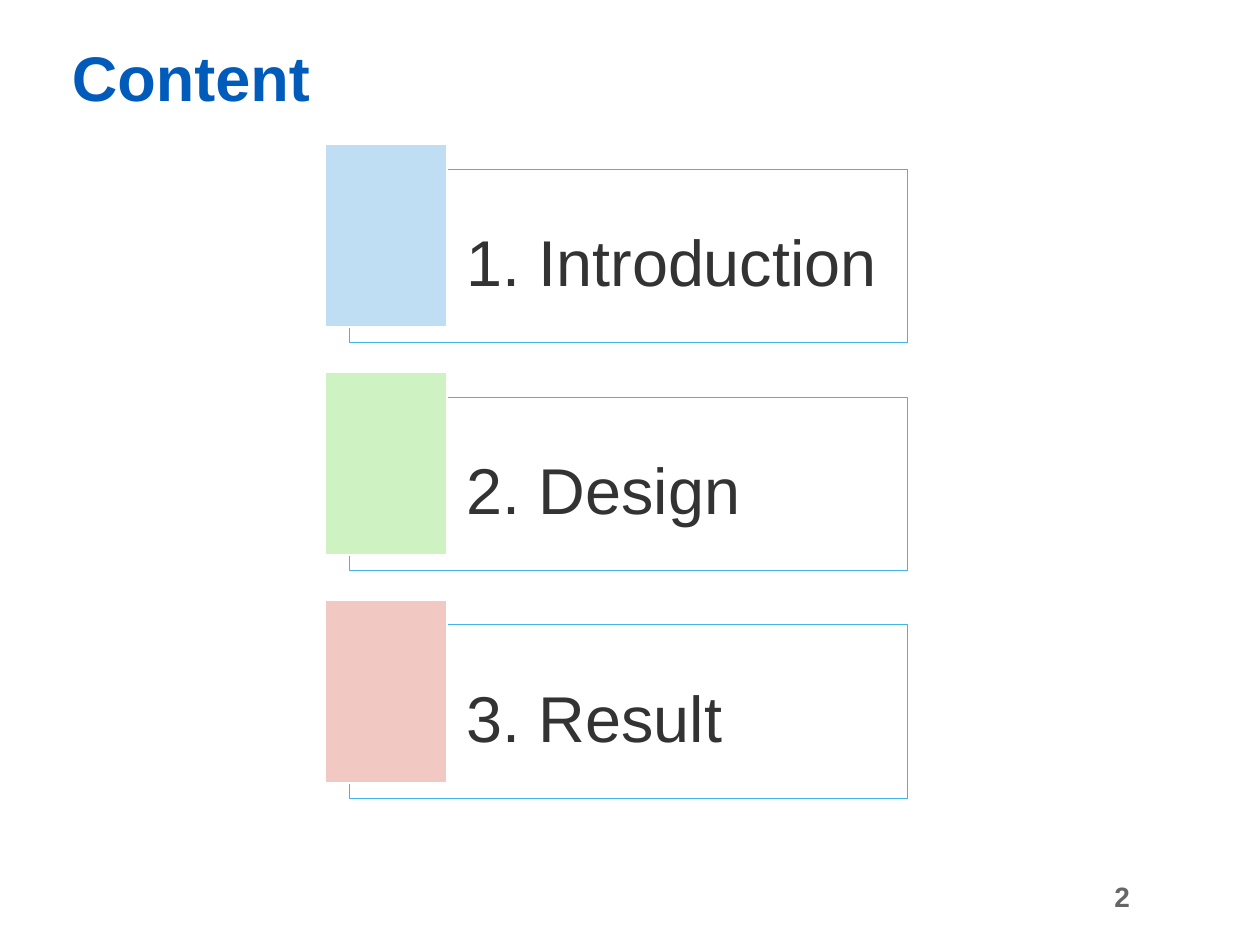
from dataclasses import dataclass

import pptx
import pptx.dml.color
import pptx.enum.shapes
import pptx.enum.text
import pptx.oxml
import pptx.util

EMU_PER_PX = 914400 / 126
FONT = "Arial"
ALIGN = pptx.enum.text.PP_ALIGN
ANCHOR = pptx.enum.text.MSO_ANCHOR

FIRST_TOP = 169
PITCH = 228


@dataclass
class Section:
    text: str
    tab_color: str


SECTIONS = [
    Section("1. Introduction", "C0DEF3"),
    Section("2. Design", "CEF2C2"),
    Section("3. Result", "F2C8C3"),
]


def px(length: int) -> pptx.util.Emu:
    return pptx.util.Emu(round(length * EMU_PER_PX))


def color(value: str) -> pptx.dml.color.RGBColor:
    return pptx.dml.color.RGBColor.from_string(value)


def write(shape, text: str, *, size: int, fill: str, bold: bool = False,
          align=ALIGN.LEFT, anchor=ANCHOR.MIDDLE, line_spacing: float = 1.0,
          insets: tuple[int, int, int, int] = (13, 6, 13, 6)) -> None:
    """Put one formatted paragraph in a shape; insets are left, top, right, bottom."""
    frame = shape.text_frame
    frame.word_wrap = True
    frame.auto_size = pptx.enum.text.MSO_AUTO_SIZE.NONE
    frame.vertical_anchor = anchor
    (frame.margin_left, frame.margin_top,
     frame.margin_right, frame.margin_bottom) = map(px, insets)
    para = frame.paragraphs[0]
    para.alignment = align
    para.line_spacing = line_spacing
    span = para.add_run()
    span.text = text
    span.font.name = FONT
    span.font.size = pptx.util.Pt(size)
    span.font.bold = bold
    span.font.color.rgb = color(fill)


def add_rectangle(page, left: int, top: int, width: int, height: int, *,
                  fill: str, line: str, line_width: float, opacity: int = 100):
    box = page.shapes.add_shape(pptx.enum.shapes.MSO_SHAPE.RECTANGLE,
                                px(left), px(top), px(width), px(height))
    box.shadow.inherit = False
    box.fill.solid()
    box.fill.fore_color.rgb = color(fill)
    if opacity < 100:
        fill_color = box.fill._xPr.find(".//" + pptx.oxml.ns.qn("a:srgbClr"))
        alpha = pptx.oxml.parse_xml(
            f'<a:alpha {pptx.oxml.ns.nsdecls("a")} val="{opacity * 1000}"/>')
        fill_color.append(alpha)
    box.line.color.rgb = color(line)
    box.line.width = pptx.util.Pt(line_width)
    return box


def add_section(page, section: Section, top: int) -> None:
    panel = add_rectangle(page, 349, top, 558, 174, fill="FFFFFF", opacity=40,
                          line="41B6E6", line_width=0.5)
    write(panel, section.text, size=37, fill="333333", insets=(118, 29, 19, 19))
    add_rectangle(page, 325, top - 25, 122, 183, fill=section.tab_color,
                  line="FFFFFF", line_width=1)


def main() -> None:
    deck = pptx.Presentation()
    deck.slide_width, deck.slide_height = px(1260), px(945)
    page = deck.slides.add_slide(deck.slide_layouts[5])

    title = page.shapes.title
    title.left, title.top, title.width, title.height = map(px, (59, 39, 976, 82))
    write(title, "Content", size=36, fill="005BBB", bold=True,
          anchor=ANCHOR.BOTTOM, line_spacing=0.9)

    for index, section in enumerate(SECTIONS):
        add_section(page, section, FIRST_TOP + index * PITCH)

    page_number = page.shapes.add_textbox(*map(px, (717, 871, 426, 50)))
    write(page_number, "2", size=16, fill="666666", bold=True, align=ALIGN.RIGHT)

    deck.save("out.pptx")


if __name__ == "__main__":
    main()
